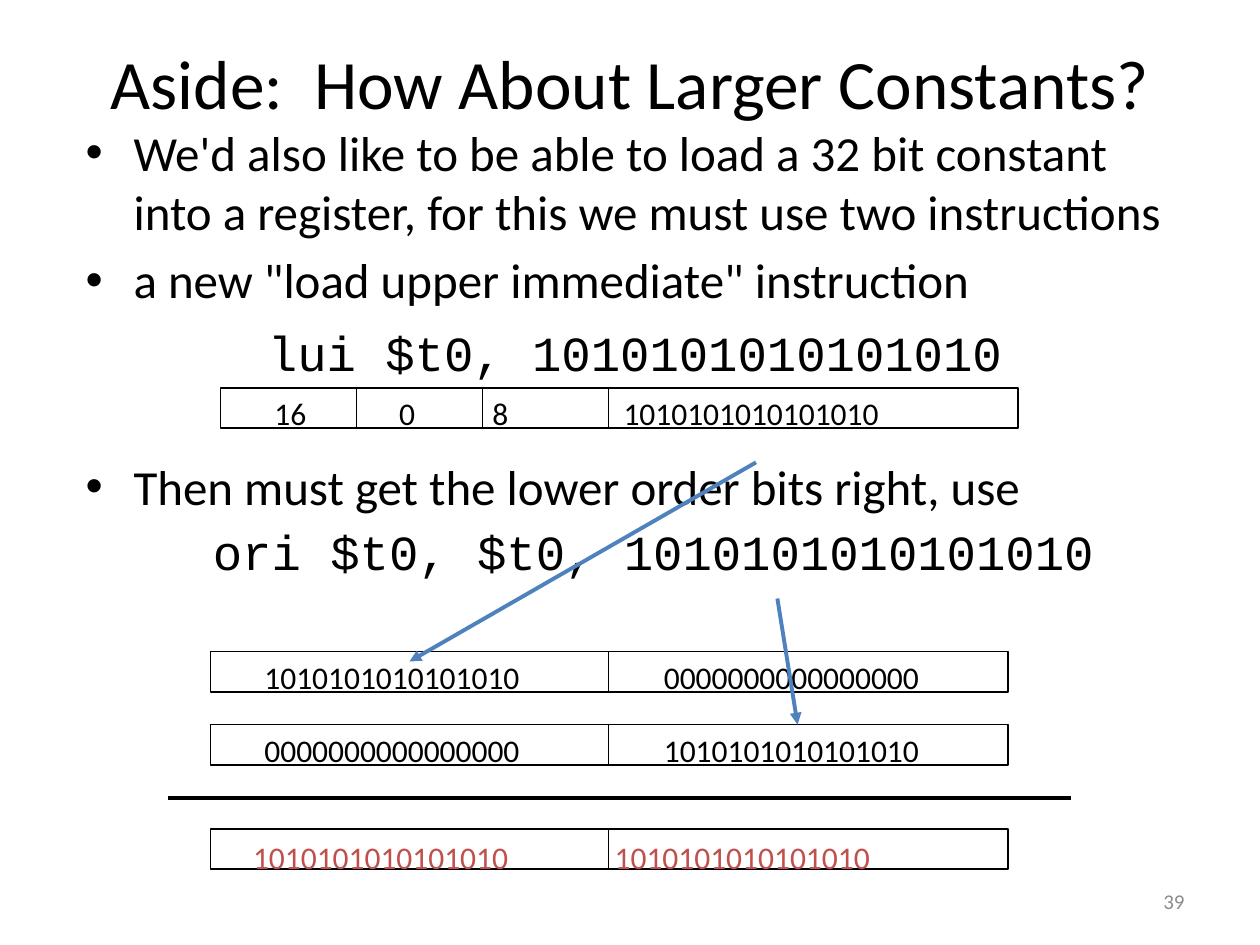
from lxml import etree
from pptx import Presentation
from pptx.dml.color import RGBColor
from pptx.enum.shapes import MSO_CONNECTOR, MSO_SHAPE
from pptx.enum.text import MSO_ANCHOR, MSO_AUTO_SIZE, PP_ALIGN
from pptx.oxml.ns import qn
from pptx.util import Inches, Pt

LEFT, CENTER, RIGHT = PP_ALIGN.LEFT, PP_ALIGN.CENTER, PP_ALIGN.RIGHT
MIDDLE, NO_FIT = MSO_ANCHOR.MIDDLE, MSO_AUTO_SIZE.NONE
STRAIGHT, RECTANGLE = MSO_CONNECTOR.STRAIGHT, MSO_SHAPE.RECTANGLE
BLACK, BLUE, RED, GREY = "000000", "4F81BD", "C0504D", "8C8C8C"
SANS, MONO = "Calibri", "Courier New"

# Content
TITLE = "Aside:  How About Larger Constants?"
PAGE_NUMBER = "39"
PATTERN, ZEROS = "1010101010101010", "0000000000000000"

BULLET = {"font": SANS, "align": LEFT, "bullet": True, "margin": 0.38, "indent": -0.38}
CODE = {"font": MONO, "align": CENTER, "bullet": False, "margin": 0.38, "indent": -0.38}
CODE_LEFT = {"font": MONO, "align": LEFT, "bullet": False, "margin": 1.01, "indent": 0}
# text, style, space before in points
BODY = [
    ("We'd also like to be able to load a 32 bit constant into a register, "
     "for this we must use two instructions", BULLET, 0),
    ('a new "load upper immediate" instruction', BULLET, 5.6),
    ("lui $t0, " + PATTERN, CODE, 8),
    ("Then must get the lower order bits right, use", BULLET, 43),
    ("ori $t0, $t0, " + PATTERN, CODE_LEFT, 3.4),
]

# Registers: left, top, divider positions, text top, colour, (text left, text)
ROW_WIDTH, ROW_HEIGHT = 6.33, 0.32
REGISTERS = [
    (1.75, 3.08, (2.83, 3.83, 4.83), 3.08, BLACK,
     [(2.08, "16"), (3.07, "0"), (3.81, "8"), (4.85, PATTERN)]),
    (1.67, 5.17, (4.83,), 5.17, BLACK, [(2, PATTERN), (5.17, ZEROS)]),
    (1.67, 5.75, (4.83,), 5.75, BLACK, [(2, ZEROS), (5.17, PATTERN)]),
    (1.67, 6.58, (4.83,), 6.6, RED, [(1.91, PATTERN), (4.78, PATTERN)]),
]
SUM_LINE = ((1.33, 6.33), (8.5, 6.33))
ARROWS = [((6, 3.67), (3.25, 5.25)), ((6.17, 4.75), (6.33, 5.75))]


def color(value):
    return RGBColor.from_string(value)


def place(shape, left, top, width, height):
    values = {"left": left, "top": top, "width": width, "height": height}
    for name, value in values.items():
        setattr(shape, name, Inches(value))


def style_text(para, size, font=SANS, fill=BLACK, align=LEFT):
    para.alignment = align
    for name, value in {"name": font, "size": Pt(size)}.items():
        setattr(para.font, name, value)
    para.font.color.rgb = color(fill)


def add_label(page, text, at, size, fill, align=LEFT, wrap=False):
    box = page.shapes.add_textbox(*map(Inches, at))
    frame = box.text_frame
    frame.word_wrap = wrap
    frame.text = text
    style_text(frame.paragraphs[0], size, fill=fill, align=align)
    return frame


def add_line(page, start, end, fill=BLACK, width=1, arrow=False):
    line = page.shapes.add_connector(STRAIGHT, *map(Inches, start + end))
    line.line.color.rgb = color(fill)
    line.line.width = Pt(width)
    if arrow:
        etree.SubElement(line.line._get_or_add_ln(), qn("a:tailEnd"), type="triangle")
    etree.SubElement(line._element.spPr, qn("a:effectLst"))


def add_title(page):
    title = page.shapes.title
    place(title, 0.5, 0.3, 9, 0.7)
    frame = title.text_frame
    frame.text = TITLE
    frame.auto_size = NO_FIT
    frame.vertical_anchor = MIDDLE
    style_text(frame.paragraphs[0], 39.6, align=CENTER)


def add_body(page):
    body = page.placeholders[1]
    place(body, 0.58, 0.92, 8.92, 6.08)
    frame = body.text_frame
    frame.auto_size = NO_FIT
    for index, (text, style, space) in enumerate(BODY):
        para = frame.add_paragraph() if index else frame.paragraphs[0]
        para.text = text
        para.space_before = Pt(space)
        props = para._p.get_or_add_pPr()
        props.set("marL", str(Inches(style["margin"])))
        props.set("indent", str(Inches(style["indent"])))
        if style["bullet"]:
            etree.SubElement(props, qn("a:buFont"), typeface="Arial")
            etree.SubElement(props, qn("a:buChar"), char="•")
        else:
            etree.SubElement(props, qn("a:buNone"))
        style_text(para, 28, style["font"], align=style["align"])


def add_register(page, left, top, dividers, text_top, fill, fields):
    row = page.shapes.add_shape(
        RECTANGLE, *map(Inches, (left, top, ROW_WIDTH, ROW_HEIGHT)))
    row.shadow.inherit = False
    row.fill.background()
    row.line.color.rgb = color(BLACK)
    row.line.width = Pt(1)
    for x in dividers:
        add_line(page, (x, top), (x, top + ROW_HEIGHT))
    for x, text in fields:
        width = 0.2 + 0.13 * len(text)
        add_label(page, text, (x, text_top, width, 0.4), 18, fill)


def main():
    deck = Presentation()
    deck.slide_width, deck.slide_height = Inches(10), Inches(7.5)
    page = deck.slides.add_slide(deck.slide_layouts[1])

    add_title(page)
    add_body(page)

    # Registers and the sum rule
    for register in REGISTERS:
        add_register(page, *register)
    add_line(page, *SUM_LINE, width=2.25)

    # Arrows from the instructions to the register halves
    for start, end in ARROWS:
        add_line(page, start, end, BLUE, 2.25, arrow=True)

    # Page number
    number = add_label(page, PAGE_NUMBER, (7.17, 6.95, 2.33, 0.4), 12, GREY, RIGHT, True)
    number.vertical_anchor = MIDDLE

    deck.save("out.pptx")


if __name__ == "__main__":
    main()
